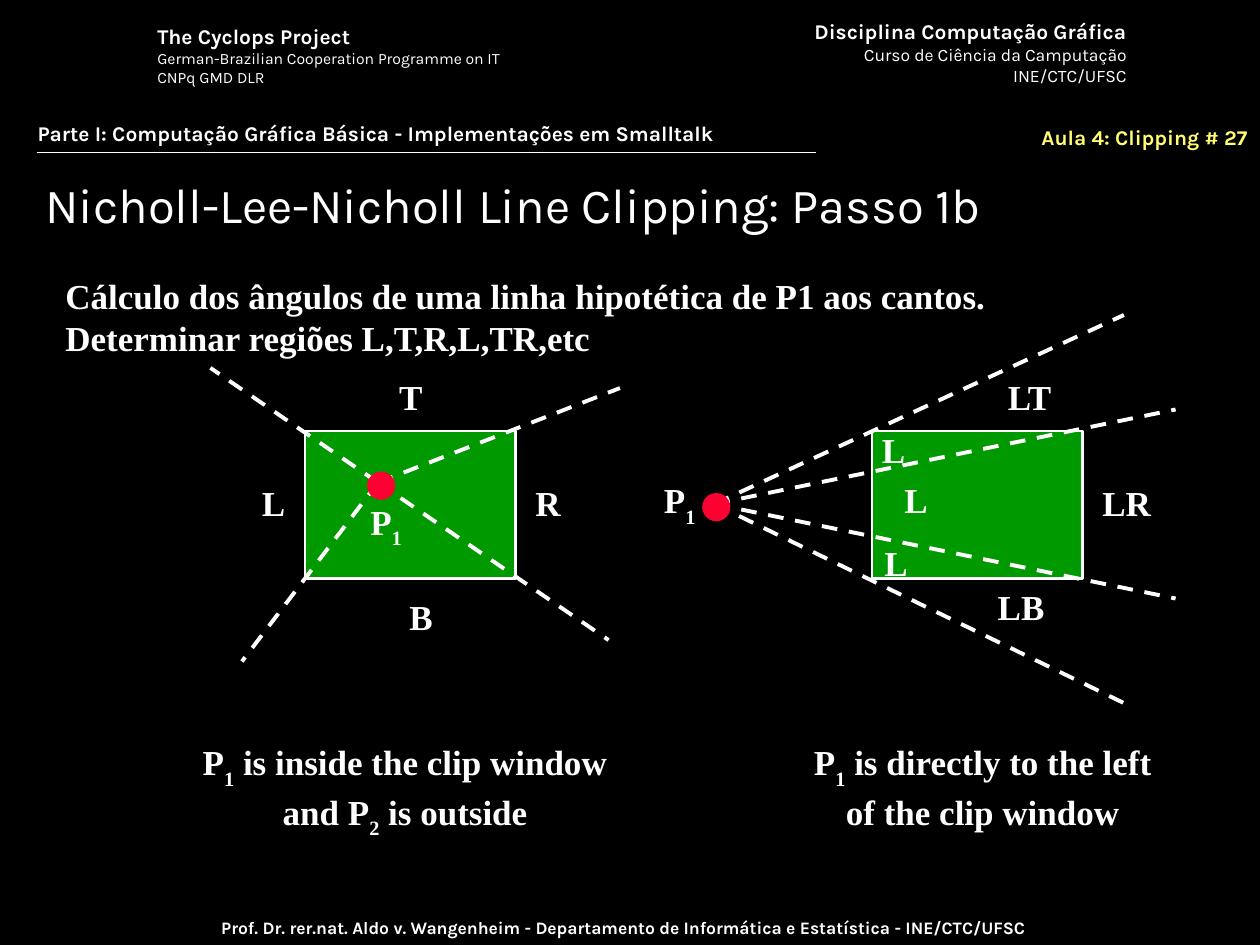
from pptx import Presentation
from pptx.dml.color import RGBColor
from pptx.enum.dml import MSO_LINE
from pptx.enum.shapes import MSO_CONNECTOR, MSO_SHAPE
from pptx.enum.text import MSO_ANCHOR, MSO_AUTO_SIZE, PP_ALIGN
from pptx.oxml.ns import qn
from pptx.util import Pt
from lxml import etree

PX = 9144  # EMU per px, 100 px to the inch
WHITE = RGBColor(0xFF, 0xFF, 0xFF)
BLACK = RGBColor(0x00, 0x00, 0x00)
YELLOW = RGBColor(0xFF, 0xFC, 0x6F)
GREEN = RGBColor(0x00, 0x99, 0x00)
RED = RGBColor(0xFF, 0x00, 0x33)
LEFT, CENTER, RIGHT = PP_ALIGN.LEFT, PP_ALIGN.CENTER, PP_ALIGN.RIGHT
RECTANGLE, OVAL = MSO_SHAPE.RECTANGLE, MSO_SHAPE.OVAL
STRAIGHT, DASH = MSO_CONNECTOR.STRAIGHT, MSO_LINE.DASH

SERIF = {"name": "Times New Roman", "size": Pt(20), "bold": True}
WINDOW_SIZE = (167, 117)
LABEL_WIDTHS = {1: 38, 2: 62, 3: 45}  # by number of characters


def karla(size, bold=True):
    return {"name": "Karla", "size": Pt(size), "bold": bold}


def emu(*lengths):
    return [length * PX for length in lengths]


def write_line(paragraph, line, style, color, align):
    """Write one line; the character after each underscore is a subscript."""
    paragraph.alignment = align
    first, *rest = line.split("_")
    pieces = [(first, False)]
    for part in rest:
        pieces += [(part[0], True), (part[1:], False)]
    for piece, subscript in pieces:
        if not piece:
            continue
        run = paragraph.add_run()
        run.text = piece
        for attribute, value in style.items():
            setattr(run.font, attribute, value)
        run.font.color.rgb = color
        if subscript:
            run._r.get_or_add_rPr().set("baseline", "-30000")


def add_text(shapes, box, lines, align=LEFT, color=WHITE, wrap=False):
    """Add a text box holding (line, style) pairs."""
    frame = shapes.add_textbox(*emu(*box)).text_frame
    frame.word_wrap = wrap
    frame.auto_size = MSO_AUTO_SIZE.SHAPE_TO_FIT_TEXT
    for index, (line, style) in enumerate(lines):
        paragraph = frame.add_paragraph() if index else frame.paragraphs[0]
        write_line(paragraph, line, style, color, align)


def add_line(shapes, start, end, width, dash=None):
    line = shapes.add_connector(STRAIGHT, *emu(*start, *end))
    line.line.color.rgb = WHITE
    line.line.width = Pt(width)
    if dash:
        line.line.dash_style = dash
    etree.SubElement(line._element.spPr, qn("a:effectLst"))


def add_filled(shapes, kind, box, fill, outline, width):
    shape = shapes.add_shape(kind, *emu(*box))
    shape.shadow.inherit = False
    shape.fill.solid()
    shape.fill.fore_color.rgb = fill
    shape.line.color.rgb = outline
    shape.line.width = Pt(width)


def add_header(slide, left, top):
    shapes = slide.shapes
    add_text(shapes, (left + 630, top + 10, 274, 64), [
        ("Disciplina Computação Gráfica", karla(12)),
        ("Curso de Ciência da Camputação", karla(10, False)),
        ("INE/CTC/UFSC", karla(10, False))], RIGHT)
    add_text(shapes, (left + 115, top + 14, 305, 60), [
        ("The Cyclops Project", karla(12)),
        ("German-Brazilian Cooperation Programme on IT", karla(9, False)),
        ("CNPq GMD DLR", karla(9, False))])
    add_line(shapes, (left + 29, top + 121), (left + 648, top + 121), 1)
    add_text(shapes, (left + 759, top + 94, 241, 33),
             [("Aula 4: Clipping # 27", karla(12))], RIGHT, YELLOW, True)
    add_text(shapes, (left + 20, top + 91, 950, 30),
             [("Parte I: Computação Gráfica Básica - Implementações em Smalltalk",
               karla(12))], wrap=True)


def add_footer(slide, box):
    add_text(slide.shapes, box, [
        ("Prof. Dr. rer.nat. Aldo v. Wangenheim - Departamento de Informática "
         "e Estatística - INE/CTC/UFSC", karla(10))], CENTER, wrap=True)


def set_title(slide, box, text):
    title = slide.shapes.title
    title.left, title.top, title.width, title.height = emu(*box)
    frame = title.text_frame
    frame.auto_size = MSO_AUTO_SIZE.NONE
    frame.vertical_anchor = MSO_ANCHOR.MIDDLE
    write_line(frame.paragraphs[0], text, karla(28, False), WHITE, LEFT)


def add_clip_diagram(slide, left, top, origin, dot, ray_ends, labels):
    """Draw a clip window at left, top; the other places are offsets from it."""
    shapes = slide.shapes.add_group_shape().shapes

    def place(offset):
        return left + offset[0], top + offset[1]

    add_filled(shapes, RECTANGLE, (left, top, *WINDOW_SIZE), GREEN, WHITE, 1.5)
    for ray_end in ray_ends:
        add_line(shapes, place(origin), place(ray_end), 2.25, DASH)
    add_filled(shapes, OVAL, (*place(dot), 21, 21), RED, RED, 1)
    for label, offset in labels:
        box = (*place(offset), LABEL_WIDTHS[len(label)], 44)
        add_text(shapes, box, [(label, SERIF)])


def add_serif_lines(slide, box, lines, align):
    add_text(slide.shapes, box, [(line, SERIF) for line in lines], align)


def main():
    deck = Presentation()
    deck.slide_width, deck.slide_height = emu(1000, 750)
    slide = deck.slides.add_slide(deck.slide_layouts[5])
    slide.background.fill.solid()
    slide.background.fill.fore_color.rgb = BLACK

    add_header(slide, 0, 0)
    add_footer(slide, (53, 723, 883, 27))
    set_title(slide, (26, 129, 940, 65),
              "Nicholl-Lee-Nicholl Line Clipping: Passo 1b")
    add_clip_diagram(
        slide, 242, 342, origin=(58, 41), dot=(50, 33),
        ray_ends=[(250, -34), (241, 166), (-75, -50), (-50, 183)],
        labels=[("P_1", (42, 50)), ("T", (65, -49)), ("L", (-44, 35)),
                ("B", (73, 126)), ("R", (173, 35))])
    add_clip_diagram(
        slide, 692, 342, origin=(-125, 58), dot=(-134, 50),
        ray_ends=[(200, -92), (241, -17), (241, 133), (200, 216)],
        labels=[("P_1", (-175, 33)), ("L", (-2, -7)), ("L", (16, 33)),
                ("L", (0, 83)), ("LT", (98, -49)), ("LR", (173, 35)),
                ("LB", (90, 118))])
    add_serif_lines(slide, (151, 583, 341, 89),
                    ["P_1 is inside the clip window", "and P_2 is outside"], CENTER)
    add_serif_lines(slide, (636, 583, 288, 83),
                    ["P_1 is directly to the left", "of the clip window"], CENTER)
    add_serif_lines(slide, (42, 213, 765, 77),
                    ["Cálculo dos ângulos de uma linha hipotética de P1 aos cantos.",
                     "Determinar regiões L,T,R,L,TR,etc"], LEFT)
    deck.save("out.pptx")


if __name__ == "__main__":
    main()
